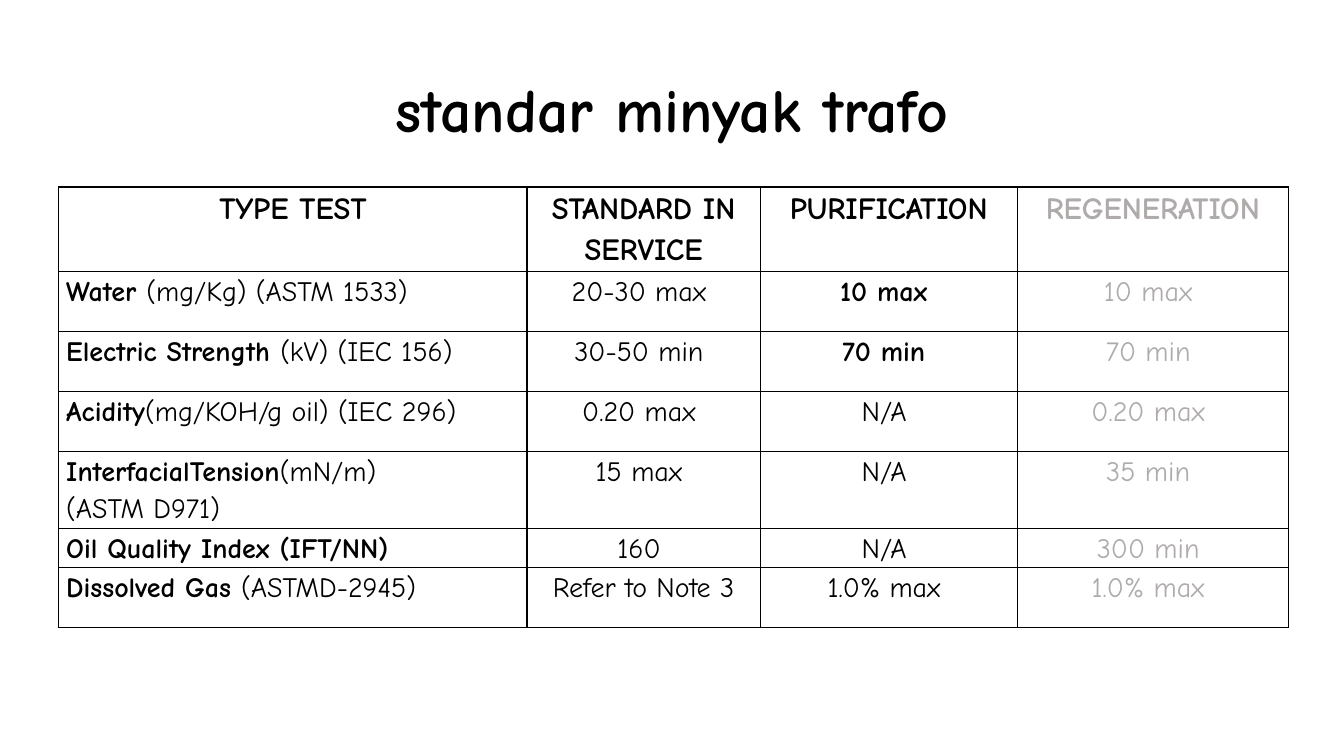
from dataclasses import dataclass

from lxml.etree import SubElement
from pptx import Presentation
from pptx.dml.color import RGBColor
from pptx.enum.text import MSO_ANCHOR, PP_ALIGN
from pptx.oxml.ns import qn
from pptx.util import Emu, Pt


@dataclass(frozen=True)
class Theme:
    font: str = "Comic Neue"
    ink: str = "000000"
    muted: str = "AFABAB"
    title: int = 44
    header: int = 22
    body: int = 20
    border: int = 1


@dataclass(frozen=True)
class Run:
    text: str
    bold: bool = False


@dataclass(frozen=True)
class OilTest:
    label: list[list[Run]]
    service: str
    purification: Run
    regeneration: str
    height: int = 57


THEME = Theme()
COLUMNS = {"TYPE TEST": 446, "STANDARD IN SERVICE": 222,
           "PURIFICATION": 245, "REGENERATION": 258}
HEADER_HEIGHT = 62
CELL_INSET = 7
NOT_APPLICABLE = Run("N/A ")

TESTS = [
    OilTest([[Run("Water ", True), Run("(mg/Kg) (ASTM 1533)")]],
            "20-30 max ", Run("10 max ", True), "10 max "),
    OilTest([[Run("Electric Strength ", True), Run("(kV) (IEC 156)")]],
            "30-50 min ", Run("70 min ", True), "70 min "),
    OilTest([[Run("Acidity", True), Run("(mg/KOH/g oil) (IEC 296)")]],
            "0.20 max ", NOT_APPLICABLE, "0.20 max "),
    OilTest([[Run("InterfacialTension", True), Run("(mN/m)")],
             [Run("(ASTM D971)")]],
            "15 max ", NOT_APPLICABLE, "35 min "),
    OilTest([[Run("Oil Quality Index (IFT/NN)", True)]],
            "160 ", NOT_APPLICABLE, "300 min ", height=29),
    OilTest([[Run("Dissolved Gas ", True), Run("(ASTMD-2945)")]],
            "Refer to Note 3", Run("1.0% max "), "1.0% max "),
]


def px(n: int) -> Emu:
    return Emu(n * 9525)


def write(tf, lines: list[list[Run]], size: int, color: str, align, spacing: float) -> None:
    """Fill a text frame with one paragraph per line of runs."""
    tf.text = "\n".join(line[0].text for line in lines)
    for p, line in zip(tf.paragraphs, lines):
        p.alignment = align
        p.line_spacing = spacing
        for run in line[1:]:
            p.add_run().text = run.text
        for r, run in zip(p.runs, line):
            r.font.name = THEME.font
            r.font.size = Pt(size)
            r.font.bold = run.bold
            r.font.color.rgb = RGBColor.from_string(color)


def add_borders(cell) -> None:
    tc_pr = cell._tc.get_or_add_tcPr()
    for side in ("lnL", "lnR", "lnT", "lnB"):
        ln = SubElement(tc_pr, qn(f"a:{side}"), w=str(Pt(THEME.border)))
        fill = SubElement(ln, qn("a:solidFill"))
        SubElement(fill, qn("a:srgbClr"), val=THEME.ink)


def fill_cell(cell, lines: list[list[Run]], size: int, color: str, align) -> None:
    cell.margin_left = cell.margin_right = px(CELL_INSET)
    cell.margin_top = cell.margin_bottom = 0
    add_borders(cell)
    cell.fill.background()
    write(cell.text_frame, lines, size, color, align, 1.15)


def add_title(s, text: str) -> None:
    tf = s.shapes.add_textbox(px(88), px(38), px(1104), px(139)).text_frame
    tf.word_wrap = True
    tf.vertical_anchor = MSO_ANCHOR.MIDDLE
    write(tf, [[Run(text, True)]], THEME.title, THEME.ink, PP_ALIGN.CENTER, 0.9)


def add_test_table(s) -> None:
    widths = list(COLUMNS.values())
    heights = [HEADER_HEIGHT] + [test.height for test in TESTS]
    table = s.shapes.add_table(len(heights), len(widths), px(56), px(178),
                               px(sum(widths)), px(sum(heights))).table
    table.first_row = table.horz_banding = False
    for column, width in zip(table.columns, widths):
        column.width = px(width)
    for row, height in zip(table.rows, heights):
        row.height = px(height)

    rows = [[[[Run(name, True)]] for name in COLUMNS]]
    rows += [[t.label, [[Run(t.service)]], [[t.purification]], [[Run(t.regeneration)]]]
             for t in TESTS]
    for i, row in enumerate(rows):
        for j, lines in enumerate(row):
            fill_cell(table.cell(i, j), lines,
                      THEME.body if i else THEME.header,
                      THEME.muted if j == len(widths) - 1 else THEME.ink,
                      PP_ALIGN.LEFT if i and j == 0 else PP_ALIGN.CENTER)


def main() -> None:
    prs = Presentation()
    prs.slide_width, prs.slide_height = px(1280), px(720)
    s = prs.slides.add_slide(prs.slide_layouts[6])
    add_title(s, "standar minyak trafo")
    add_test_table(s)
    prs.save("out.pptx")


if __name__ == "__main__":
    main()
